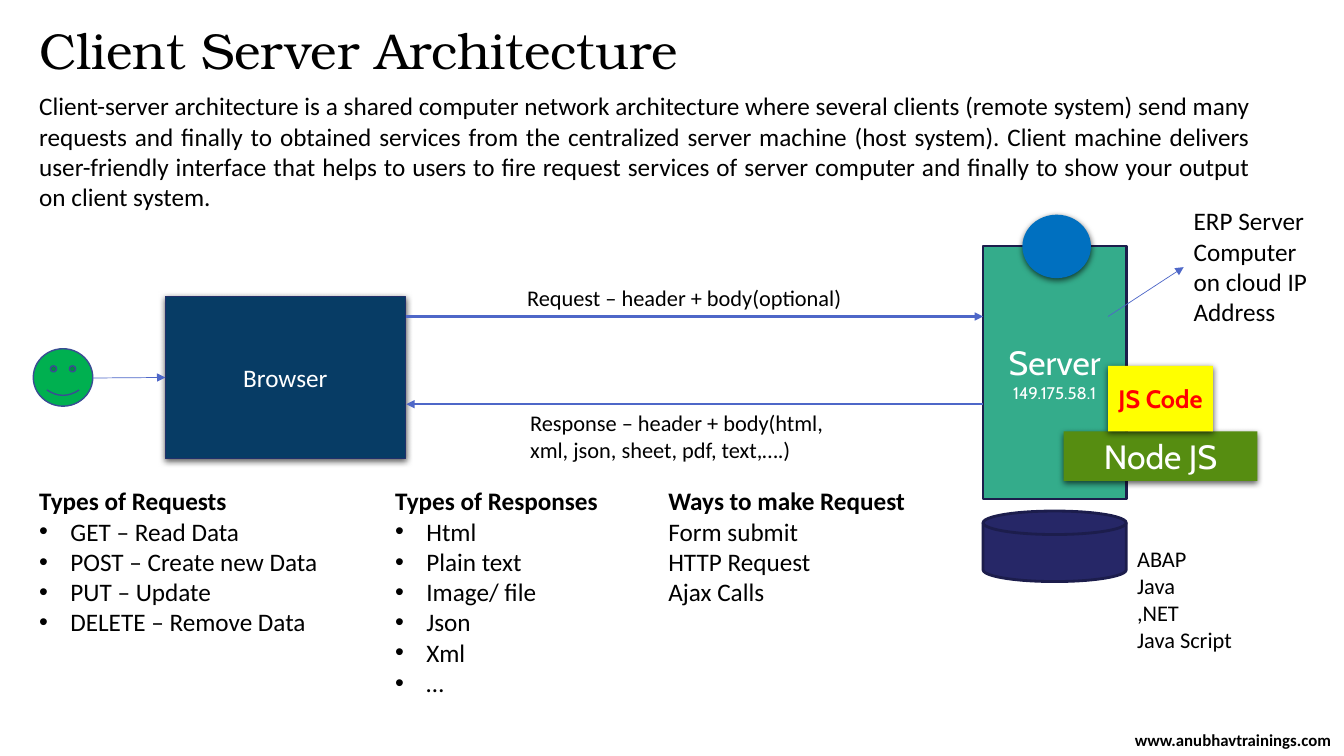
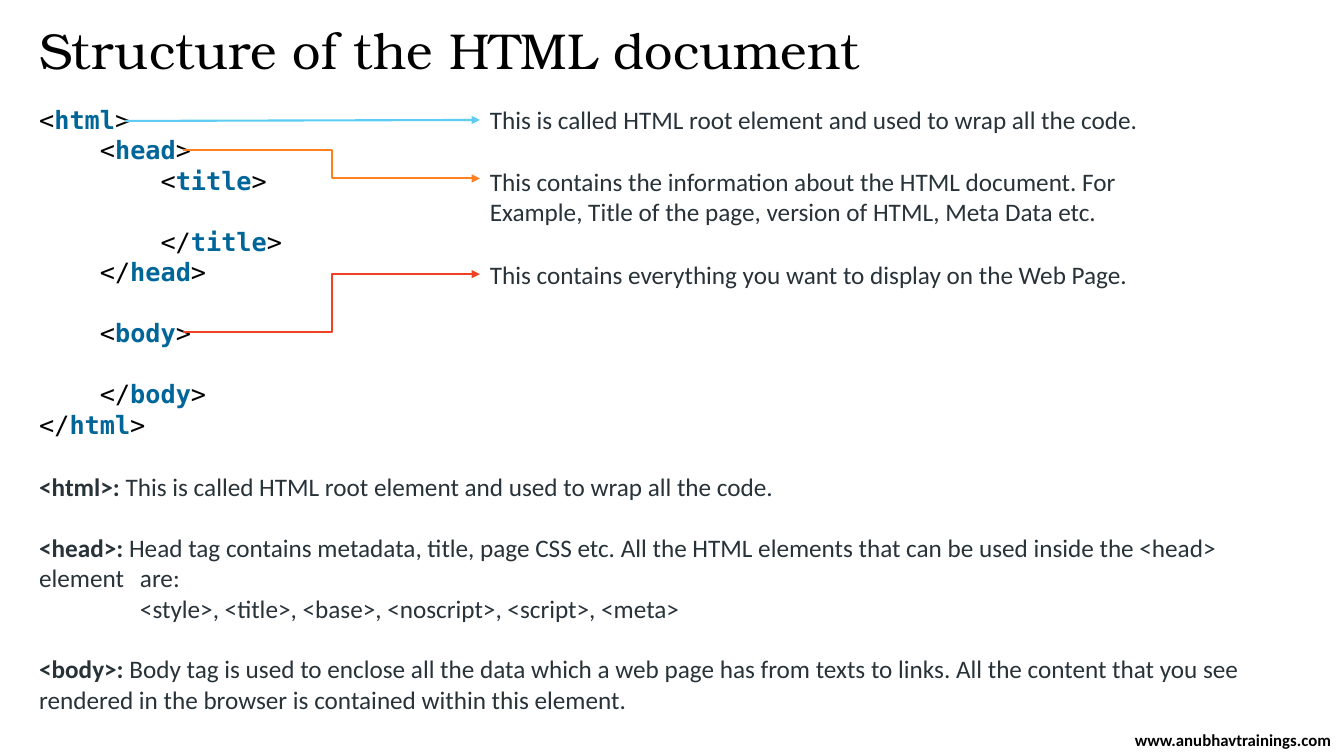
import lxml.etree
import pptx
import pptx.dml.color
import pptx.enum.shapes
import pptx.enum.text
import pptx.oxml.ns
import pptx.util

Inches, Pt = pptx.util.Inches, pptx.util.Pt
RGB = pptx.dml.color.RGBColor.from_string
qn = pptx.oxml.ns.qn
SHAPE = pptx.enum.shapes.MSO_SHAPE
CONNECTOR = pptx.enum.shapes.MSO_CONNECTOR
ALIGN = pptx.enum.text.PP_ALIGN
ANCHOR = pptx.enum.text.MSO_ANCHOR

# Theme: text styles are (font, size, colour, bold)
THEME = {
    "styles": {
        "title": ("TeX Gyre Bonum", 36, "000000", False),
        "footer": ("Calibri", 12, "000000", True),
        "body": ("Calibri", 18, "000000", False),
        "heading": ("Calibri", 18, "000000", True),
        "label": ("Calibri", 16, "000000", False),
        "note": ("Calibri", 18, "273239", False),
        "term": ("Calibri", 18, "273239", True),
        "code": ("DejaVu Sans Mono", 18, "000000", False),
        "tag": ("DejaVu Sans Mono", 18, "006699", True),
        "browser": ("Calibri", 18, "FFFFFF", False),
        "block": ("Cabin", 24, "FFFFFF", False),
        "address": ("Cabin", 12, "FFFFFF", False),
        "script": ("Cabin", 18, "FF0000", True),
    },
    "arrow": "4E67C8",
    "left": 0.29,
    "line_height": Pt(21.8),
    "bullet_indent": Inches(0.31),
    "tab": Inches(1),
}

# Content: client and server
FOOTER = "www.anubhavtrainings.com"
INTRO = (
    "Client-server architecture is a shared computer network architecture where several "
    "clients (remote system) send many requests and finally to obtained services from the "
    "centralized server machine (host system). Client machine delivers user-friendly interface "
    "that helps to users to fire request services of server computer and finally to show your "
    "output on client system."
)
# Place, style, lines
LABELS = [
    ((5.13, 2.77, 3.5, 0.37), "label", ["Request – header + body(optional)"]),
    ((5.16, 4.01, 3.5, 0.64), "label",
     ["Response – header + body(html, xml, json, sheet, pdf, text,….)"]),
    ((11.74, 1.99, 1.49, 1.31), "body", ["ERP Server Computer on cloud IP Address"]),
    ((11.18, 5.36, 1.2, 1.18), "label", ["ABAP", "Java", ",NET", "Java Script"]),
]
# Left, width, heading, bulleted, items
LISTS = [
    (0.29, 3.1, "Types of Requests", True,
     ["GET – Read Data", "POST – Create new Data", "PUT – Update", "DELETE – Remove Data"]),
    (3.82, 2.71, "Types of Responses", True,
     ["Html", "Plain text", "Image/ file", "Json", "Xml", "…"]),
    (6.53, 2.99, "Ways to make Request", False,
     ["Form submit", "HTTP Request", "Ajax Calls"]),
]
# Name, preset, place, fill, (line colour, width), shadow, lines of (text, style)
PARTS = [
    ("browser", SHAPE.RECTANGLE, (1.64, 2.94, 2.38, 1.61), "073C65", ("21306A", 0.75), True,
     [("Browser", "browser")]),
    ("server", SHAPE.RECTANGLE, (9.75, 2.44, 1.42, 2.51), "34AC8B", ("1C1D4C", 2), False,
     [("Server", "block"), ("149.175.58.1", "address")]),
    ("cloud", SHAPE.OVAL, (10.14, 2.13, 0.68, 0.63), "0070C0", None, True, []),
    ("database", SHAPE.FLOWCHART_MAGNETIC_DISK, (9.75, 5.07, 1.42, 0.7), "262767",
     ("1C1D4C", 2), False, []),
    ("node", SHAPE.RECTANGLE, (10.55, 4.28, 1.92, 0.49), "568D11", None, True,
     [("Node JS", "block")]),
    ("js code", SHAPE.RECTANGLE, (10.99, 3.63, 1.04, 0.65), "FFFF00", None, True,
     [("JS Code", "script")]),
    ("user", SHAPE.SMILEY_FACE, (0.33, 3.46, 0.59, 0.57), "00B050", ("3A4C94", 1), False, []),
]
# Start, end, width, part joined on its left side
ARROWS = [
    ((4.03, 3.14), (9.75, 3.14), 1.5, None),
    ((9.75, 4.01), (4.03, 4.01), 1.5, None),
    ((10.99, 3.14), (11.74, 2.65), 0.5, None),
    ((0.92, 3.75), (1.64, 3.75), 0.5, "browser"),
]

# Content: HTML document; code lines are (text before tag, tag, follows an empty line)
CODE = [
    ("<", "html", False),
    ("    <", "head", False),
    ("        <", "title", False),
    ("        </", "title", True),
    ("    </", "head", False),
    ("    <", "body", True),
    ("    </", "body", True),
    ("</", "html", False),
]
# Note top, height, text, arrow start, arrow end height, colour, straight
NOTES = [
    (0.99, 0.4, "This is called HTML root element and used to wrap all the code.",
     (1.24, 1.2), 1.2, "5ECCF3", True),
    (1.6, 0.71, "This contains the information about the HTML document. For Example, Title of "
     "the page, version of HTML, Meta Data etc.", (1.82, 1.49), 1.77, "FF8021", False),
    (2.52, 0.4, "This contains everything you want to display on the Web Page.",
     (1.82, 3.29), 2.72, "F14124", False),
]
# Term, explanation, indented line
TERMS = [
    ("<html>:", " This is called HTML root element and used to wrap all the code.", None),
    ("<head>:", " Head tag contains metadata, title, page CSS etc. All the HTML elements that "
     "can be used inside the <head> element\tare:",
     "<style>, <title>, <base>, <noscript>, <script>, <meta>"),
    ("<body>:", " Body tag is used to enclose all the data which a web page has from texts to "
     "links. All the content that you see rendered in the browser is contained within this "
     "element.", None),
]


def apply(target, values):
    for name, value in values.items():
        setattr(target, name, value)


def add_node(parent, tag, **values):
    return lxml.etree.SubElement(parent, qn(tag), {k: str(v) for k, v in values.items()})


def para(*spans, bullet=False, indent=0, tab=None, **formats):
    """Describe a paragraph; spans are (text, style) pairs."""
    return {"spans": spans, "bullet": bullet, "indent": indent, "tab": tab, "formats": formats}


def fill_text(frame, paras):
    for index, item in enumerate(paras):
        paragraph = frame.paragraphs[0] if index == 0 else frame.add_paragraph()
        props = paragraph._p.get_or_add_pPr()
        if item["bullet"]:
            props.set("marL", str(THEME["bullet_indent"]))
            props.set("indent", str(-THEME["bullet_indent"]))
            add_node(props, "a:buFont", typeface="Arial")
            add_node(props, "a:buChar", char="•")
        elif item["indent"]:
            props.set("marL", str(item["indent"]))
            props.set("indent", "0")
        if item["tab"]:
            add_node(add_node(props, "a:tabLst"), "a:tab", pos=item["tab"], algn="l")
        apply(paragraph, item["formats"])
        for text, style in item["spans"]:
            span = paragraph.add_run()
            span.text = text
            name, size, colour, bold = THEME["styles"][style]
            apply(span.font, {"name": name, "size": Pt(size), "bold": bold})
            span.font.color.rgb = RGB(colour)


def add_text(page, place, paras, anchor=ANCHOR.TOP):
    box = page.shapes.add_textbox(*map(Inches, place))
    apply(box.text_frame, {"word_wrap": True, "vertical_anchor": anchor})
    fill_text(box.text_frame, paras)
    return box


def add_part(page, preset, place, fill, line, shadow, lines):
    shape = page.shapes.add_shape(preset, *map(Inches, place))
    shape.fill.solid()
    shape.fill.fore_color.rgb = RGB(fill)
    if line:
        shape.line.color.rgb = RGB(line[0])
        shape.line.width = Pt(line[1])
    else:
        shape.line.fill.background()
    shape.shadow.inherit = False
    if shadow:
        effects = shape._element.spPr.find(qn("a:effectLst"))
        outer = add_node(effects, "a:outerShdw", blurRad=Pt(4.5), dist=Pt(1.5),
                         dir=5400000, rotWithShape=0)
        add_node(add_node(outer, "a:srgbClr", val="000000"), "a:alpha", val=63000)
    if lines:
        apply(shape.text_frame, {"word_wrap": True, "vertical_anchor": ANCHOR.MIDDLE,
                                 "margin_left": Inches(0.05), "margin_right": Inches(0.05)})
        fill_text(shape.text_frame, [para(span, alignment=ALIGN.CENTER) for span in lines])
    return shape


def add_arrow(page, start, end, colour, width, target=None, kind=CONNECTOR.STRAIGHT):
    arrow = page.shapes.add_connector(kind, *map(Inches, start + end))
    arrow.line.color.rgb = RGB(colour)
    arrow.line.width = Pt(width)
    add_node(arrow.line._get_or_add_ln(), "a:tailEnd", type="triangle")
    add_node(arrow._element.spPr, "a:effectLst")
    if target is not None:
        arrow.end_connect(target, 1)


def add_page(deck, title):
    page = deck.slides.add_slide(deck.slide_layouts[6])
    add_text(page, (THEME["left"], 0.21, 12.21, 0.65),
             [para((title, "title"), line_spacing=0.9)])
    add_text(page, (11.13, 7.26, 2.2, 0.16),
             [para((FOOTER, "footer"), alignment=ALIGN.CENTER)], ANCHOR.MIDDLE)
    return page


def build_architecture(deck):
    page = add_page(deck, "Client Server Architecture")
    add_text(page, (THEME["left"], 0.85, 12.21, 1.31),
             [para((INTRO, "body"), alignment=ALIGN.JUSTIFY)])
    parts = {name: add_part(page, *details) for name, *details in PARTS}
    for start, end, width, target in ARROWS:
        add_arrow(page, start, end, THEME["arrow"], width, parts.get(target))
    for place, style, lines in LABELS:
        add_text(page, place, [para((line, style)) for line in lines])
    for left, width, heading, bulleted, items in LISTS:
        height = 0.1 + 0.3 * (len(items) + 1)
        add_text(page, (left, 4.77, width, height),
                 [para((heading, "heading"))]
                 + [para((item, "body"), bullet=bulleted) for item in items])


def build_document(deck):
    page = add_page(deck, "Structure of the HTML document")
    line_height = THEME["line_height"]
    # Code listing
    add_text(page, (THEME["left"], 0.98, 2.71, 3.43), [
        para((before.replace(" ", "\N{NO-BREAK SPACE}"), "code"), (tag, "tag"), (">", "code"),
             line_spacing=line_height, space_before=line_height if gap else Pt(0))
        for before, tag, gap in CODE])
    # Notes beside the code
    note_left = 4.76
    for top, height, text, start, end_y, colour, straight in NOTES:
        note = add_text(page, (note_left, top, 6.67, height), [para((text, "note"))])
        add_arrow(page, start, (note_left, end_y), colour, 1.5, note if straight else None,
                  CONNECTOR.STRAIGHT if straight else CONNECTOR.ELBOW)
    # Explanations
    paras = []
    for term, text, detail in TERMS:
        paras.append(para((term, "term"), (text, "note"), tab=THEME["tab"],
                          space_before=line_height if paras else Pt(0)))
        if detail:
            paras.append(para((detail, "note"), indent=THEME["tab"]))
    add_text(page, (THEME["left"], 4.63, 12.26, 2.52), paras)


def main():
    deck = pptx.Presentation()
    apply(deck, {"slide_width": Inches(13.33), "slide_height": Inches(7.5)})
    build_architecture(deck)
    build_document(deck)
    deck.save("out.pptx")


if __name__ == "__main__":
    main()
